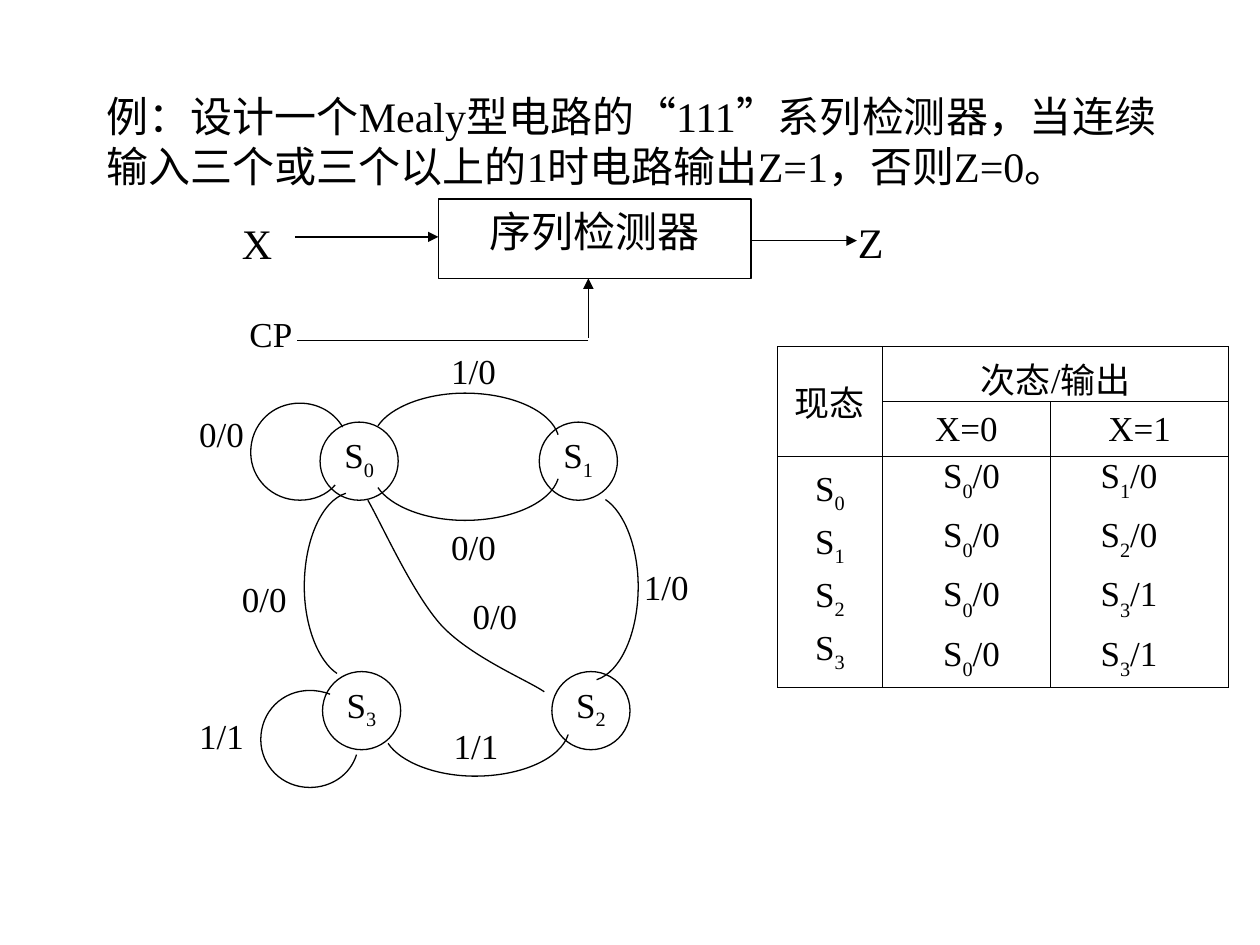
from lxml import etree
from pptx import Presentation
from pptx.dml.color import RGBColor
from pptx.enum.shapes import MSO_CONNECTOR, MSO_SHAPE
from pptx.enum.text import MSO_ANCHOR, PP_ALIGN
from pptx.oxml.ns import qn
from pptx.util import Inches, Pt

RECTANGLE, OVAL = MSO_SHAPE.RECTANGLE, MSO_SHAPE.OVAL
STRAIGHT = MSO_CONNECTOR.STRAIGHT
TOP, MIDDLE = MSO_ANCHOR.TOP, MSO_ANCHOR.MIDDLE
LEFT, CENTER, JUSTIFY = PP_ALIGN.LEFT, PP_ALIGN.CENTER, PP_ALIGN.JUSTIFY
FONT = "Times New Roman"
BLACK, WHITE = "000000", "FFFFFF"


def color(value):
    return RGBColor.from_string(value)


def inches(*lengths):
    return [Inches(length) for length in lengths]


def write(frame, lines, size, align, subscript=-25, before=0, spacing=None):
    for index, runs in enumerate(lines):
        paragraph = frame.add_paragraph() if index else frame.paragraphs[0]
        paragraph.alignment = align
        paragraph.line_spacing = spacing
        if index and before:
            paragraph.space_before = Pt(before)
        for position, text in enumerate(runs):
            run = paragraph.add_run()
            run.text = text
            run.font.size = Pt(size)
            run.font.name = FONT
            run.font.color.rgb = color(BLACK)
            if position == 1:
                run.font._element.set("baseline", str(subscript * 1000))


def set_frame(frame, anchor, margins):
    frame.word_wrap = True
    frame.vertical_anchor = anchor
    horizontal, vertical = inches(*margins)
    frame.margin_left = frame.margin_right = horizontal
    frame.margin_top = frame.margin_bottom = vertical


def add_text(slide, box, lines, size, align=JUSTIFY, anchor=TOP, margins=(0, 0), **style):
    frame = slide.shapes.add_textbox(*inches(*box)).text_frame
    set_frame(frame, anchor, margins)
    write(frame, lines, size, align, **style)


def set_outline(shape, fill=None):
    shape.shadow.inherit = False
    if fill:
        shape.fill.solid()
        shape.fill.fore_color.rgb = color(fill)
    else:
        shape.fill.background()
    shape.line.color.rgb = color(BLACK)
    shape.line.width = Pt(0.75)


def add_node(slide, kind, box, runs, size, margins=(0, 0), fill=None):
    shape = slide.shapes.add_shape(kind, *inches(*box))
    set_outline(shape, fill)
    set_frame(shape.text_frame, TOP, margins)
    write(shape.text_frame, [runs], size, CENTER)


def add_line(slide, start, end, arrow=True):
    line = slide.shapes.add_connector(STRAIGHT, *inches(*start, *end))
    line.line.color.rgb = color(BLACK)
    line.line.width = Pt(0.75)
    if arrow:
        etree.SubElement(line.line._get_or_add_ln(), qn("a:tailEnd"), type="triangle")
    etree.SubElement(line._element.spPr, qn("a:effectLst"))


def add_curve(slide, origin, points, extent=(), rotation=0):
    points = [inches(*point) for point in points]
    knots = points[::3] + [inches(*point) for point in extent]
    builder = slide.shapes.build_freeform(*knots[0])
    builder.add_line_segments(knots[1:], close=False)
    shape = builder.convert_to_shape(*inches(*origin))
    outline = shape._element.spPr.find(".//" + qn("a:path"))
    for segment in list(outline)[1:]:
        outline.remove(segment)
    for start in range(1, len(points), 3):
        segment = etree.SubElement(outline, qn("a:cubicBezTo"))
        for x, y in points[start:start + 3]:
            etree.SubElement(segment, qn("a:pt"), x=str(x), y=str(y))
    set_outline(shape)
    shape.rotation = rotation


def set_borders(cell):
    properties = cell._tc.get_or_add_tcPr()
    for index, side in enumerate(("a:lnL", "a:lnR", "a:lnT", "a:lnB")):
        border = etree.Element(qn(side), w=str(Pt(0.45)))
        fill = etree.SubElement(border, qn("a:solidFill"))
        etree.SubElement(fill, qn("a:srgbClr"), val=BLACK)
        properties.insert(index, border)


def add_state_table(slide):
    widths, heights = (5 / 6, 4 / 3, 17 / 12), (7 / 16, 7 / 16, 1.83)
    table = slide.shapes.add_table(3, 3, *inches(6.17, 2.75, 3.58, 2.5)).table
    table.first_row = table.horz_banding = False
    for column, width in zip(table.columns, widths):
        column.width = Inches(width)
    for row, height in zip(table.rows, heights):
        row.height = Inches(height)
    for cell in table.iter_cells():
        cell.fill.background()
        cell.vertical_anchor = MIDDLE
        set_borders(cell)
    table.cell(0, 0).merge(table.cell(1, 0))
    table.cell(0, 1).merge(table.cell(0, 2))
    contents = {
        (0, 0): [["现态"]],
        (0, 1): [["次态/输出"]],
        (1, 1): [["X=0"]],
        (1, 2): [["X=1"]],
        (2, 0): [["S", str(state)] for state in range(4)],
    }
    for position, lines in contents.items():
        write(table.cell(*position).text_frame, lines, 20, CENTER, before=5)


def add_next_states(slide, left, transitions):
    lines = [["S", state, output] for state, output in transitions]
    add_text(slide, (left, 3.67, 1.08, 1.58), lines, 20, CENTER, MIDDLE, (0.1, 0.05),
             subscript=-30, spacing=1.2)


def add_block_diagram(slide):
    add_node(slide, RECTANGLE, (3.48, 1.58, 2.48, 0.63), ["序列检测器"], 24, (0.1, 0.05))
    add_line(slide, (2.34, 1.88), (3.48, 1.88))
    add_line(slide, (4.67, 2.68), (4.67, 2.21))
    add_line(slide, (4.67, 2.7), (2.36, 2.7), arrow=False)
    add_line(slide, (5.96, 1.91), (6.8, 1.91))
    for text, left, top, size in (("X", 1.92, 1.73, 24), ("CP", 1.98, 2.48, 20),
                                  ("Z", 6.81, 1.72, 24)):
        add_text(slide, (left, top, 0.36, 0.33), [[text]], size)


def add_transitions(slide):
    height = 0.38
    arch = [(1.43, 0.33), (1.37, 0.14), (1.06, 0), (0.69, 0),
            (0.38, 0), (0.1, 0.11), (0, 0.26)]
    bowl = [(x, height - y) for x, y in arch]
    for origin, rotation in (((3, 3.12), 0), ((4.16, 4.49), 90), ((1.89, 4.44), 270)):
        add_curve(slide, origin, arch, [(0.69, height)], rotation)
    for origin in ((3.08, 5.78), (3, 3.75)):
        add_curve(slide, origin, bowl, [(0.69, 0)])

    loop = [(0.39, 0), (0.17, 0), (0, 0.17), (0, 0.39), (0, 0.6), (0.17, 0.77), (0.39, 0.77)]
    add_curve(slide, (1.99, 3.2), [(0.73, 0.19), (0.66, 0.07), (0.53, 0), *loop,
                                   (0.5, 0.77), (0.6, 0.73), (0.67, 0.65)])
    add_curve(slide, (2.07, 5.48), [(0.55, 0.03), (0.5, 0.01), (0.44, 0), *loop,
                                    (0.56, 0.77), (0.71, 0.67), (0.76, 0.51)])
    add_curve(slide, (2.92, 3.97), [(1.4, 1.52), (1.27, 1.43), (0.83, 1.25), (0.59, 1),
                                    (0.36, 0.75), (0.12, 0.21), (0, 0)])


def add_state_diagram(slide):
    states = (("0", 2.54, 3.35), ("2", 4.38, 5.33), ("3", 2.56, 5.33), ("1", 4.28, 3.35))
    for state, left, top in states:
        add_node(slide, OVAL, (left, top, 0.62, 0.62), ["S", state], 20, fill=WHITE)
    add_transitions(slide)
    labels = (("1/0", 3.58, 2.77), ("0/0", 1.58, 3.27), ("0/0", 3.75, 4.72),
              ("1/1", 3.6, 5.75), ("1/0", 5.11, 4.49), ("0/0", 3.58, 4.17),
              ("0/0", 1.92, 4.58), ("1/1", 1.58, 5.67))
    for text, left, top in labels:
        add_text(slide, (left, top, 0.38, 0.36), [[text]], 20)


def main():
    presentation = Presentation()
    presentation.slide_width, presentation.slide_height = inches(10, 7.5)
    slide = presentation.slides.add_slide(presentation.slide_layouts[6])
    title = "例：设计一个Mealy型电路的“111”系列检测器，当连续输入三个或三个以上的1时电路输出Z=1，否则Z=0。"
    add_text(slide, (0.75, 0.67, 8.83, 0.9), [[title]], 24, LEFT, margins=(0.1, 0.05))
    add_block_diagram(slide)
    add_state_diagram(slide)
    add_next_states(slide, 7.17, [("0", "/0")] * 4)
    add_next_states(slide, 8.42, [("1", "/0"), ("2", "/0"), ("3", "/1"), ("3", "/1")])
    add_state_table(slide)
    presentation.save("out.pptx")


if __name__ == "__main__":
    main()
